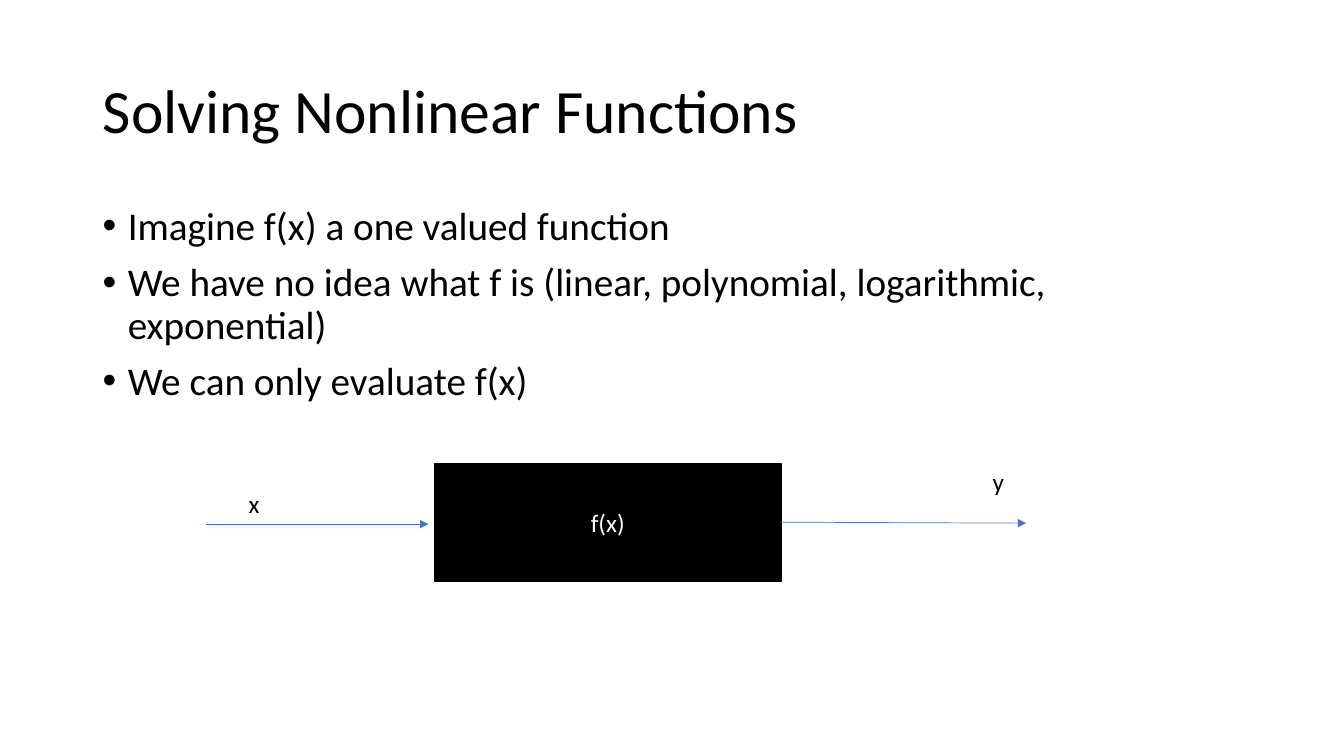
from lxml import etree
from pptx import Presentation
from pptx.dml.color import RGBColor
from pptx.enum import shapes, text
from pptx.oxml.ns import qn
from pptx.util import Pt

# Content; all lengths in points
TITLE = "Solving Nonlinear Functions"
BULLETS = [
    "Imagine f(x) a one valued function",
    "We have no idea what f is (linear, polynomial, logarithmic, exponential)",
    "We can only evaluate f(x)",
]
BOX_LABEL = "f(x)"
SIGNALS = [("x", (170.6, 344.9, 67, 29)), ("y", (702, 329.8, 62, 29))]
ARROWS = [(146.9, 374.4, 306, 374.4), (558, 373, 733, 373.7)]

COLORS = {"ink": "000000", "paper": "FFFFFF", "arrow": "4472C4"}
FONT = "Calibri"
LEFT, WIDTH = 66.24, 828
TITLE_AREA = (LEFT, 28.8, WIDTH, 104.4)
BODY_AREA = (LEFT, 144, WIDTH, 342.7)
BLACK_BOX = (310.3, 331.2, 247.7, 84.2)
INDENT = 18


def color(name):
    return RGBColor.from_string(COLORS[name])


def points(lengths):
    return [Pt(length) for length in lengths]


def write(paragraph, words, size, ink="ink"):
    run = paragraph.add_run()
    run.text = words
    run.font.name, run.font.size = FONT, Pt(size)
    run.font.color.rgb = color(ink)


def add_text_frame(area):
    frame = slide.shapes.add_textbox(*points(area)).text_frame
    frame.word_wrap = True
    return frame


deck = Presentation()
deck.slide_width, deck.slide_height = Pt(960), Pt(540)
slide = deck.slides.add_slide(deck.slide_layouts[5])

# Title
title = slide.shapes.title
title.left, title.top, title.width, title.height = points(TITLE_AREA)
title.text_frame.vertical_anchor = text.MSO_ANCHOR.MIDDLE
heading = title.text_frame.paragraphs[0]
heading.alignment = text.PP_ALIGN.LEFT
heading.line_spacing = 0.9
write(heading, TITLE, 44)

# Bullets
body = add_text_frame(BODY_AREA)
for number, sentence in enumerate(BULLETS):
    bullet = body.add_paragraph() if number else body.paragraphs[0]
    bullet.line_spacing, bullet.space_before = 0.9, Pt(10)
    write(bullet, sentence, 28)
    props = bullet._p.get_or_add_pPr()
    props.set("marL", str(Pt(INDENT)))
    props.set("indent", str(-Pt(INDENT)))
    etree.SubElement(props, qn("a:buFont"), typeface="Arial")
    etree.SubElement(props, qn("a:buChar"), char="•")

# Black box
black_box = slide.shapes.add_shape(shapes.MSO_SHAPE.RECTANGLE, *points(BLACK_BOX))
black_box.shadow.inherit = False
black_box.fill.solid()
black_box.fill.fore_color.rgb = color("ink")
black_box.line.color.rgb = color("ink")
black_box.line.width = Pt(1)
black_box.text_frame.vertical_anchor = text.MSO_ANCHOR.MIDDLE
box_label = black_box.text_frame.paragraphs[0]
box_label.alignment = text.PP_ALIGN.CENTER
write(box_label, BOX_LABEL, 18, "paper")

# Input and output arrows
for ends in ARROWS:
    arrow = slide.shapes.add_connector(shapes.MSO_CONNECTOR.STRAIGHT, *points(ends))
    arrow.line.color.rgb = color("arrow")
    arrow.line.width = Pt(0.5)
    etree.SubElement(arrow.line._get_or_add_ln(), qn("a:tailEnd"), type="triangle")
    etree.SubElement(arrow._element.spPr, qn("a:effectLst"))

# Signal names
for signal, area in SIGNALS:
    write(add_text_frame(area).paragraphs[0], signal, 18)

deck.save("out.pptx")
